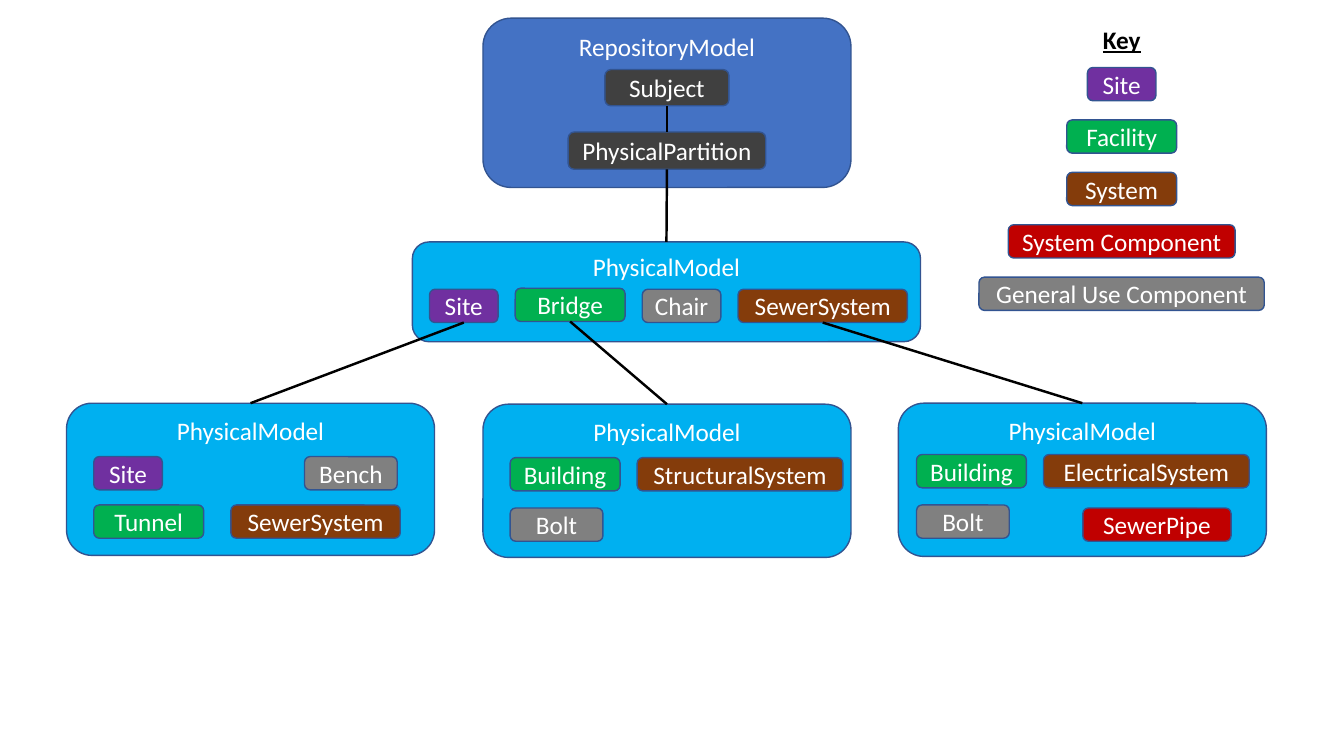
from collections import namedtuple

from lxml.etree import SubElement
from pptx import Presentation
from pptx.dml.color import RGBColor
from pptx.enum.shapes import MSO_CONNECTOR as Connector, MSO_SHAPE as Shape
from pptx.enum.text import MSO_ANCHOR as Anchor, PP_ALIGN as Align
from pptx.oxml.ns import qn
from pptx.util import Inches, Pt

# The grid has square cells, 133.3 columns by 75 rows.
CELL = Inches(0.1)
COLUMNS, ROWS = 133.3, 75
CHIP_HEIGHT = 3.3
TOP, BOTTOM = 0, 2  # connection sites of a rounded rectangle

COLOURS = {
    "site": "7030A0", "facility": "00B050", "system": "843C0B",
    "component": "C00000", "general": "808080", "subject": "404040",
    "repository": "4472C4", "model": "00B0F0",
    "outline": "325491", "light": "FFFFFF", "dark": "000000",
}
Box = namedtuple("Box", "left top width height")


def colour(name):
    """Return the RGB colour of a role in the diagram."""
    return RGBColor.from_string(COLOURS[name])


def cells(*lengths):
    """Turn grid lengths into slide lengths."""
    return [round(length * CELL) for length in lengths]


def write(frame, wording, ink):
    """Put one centred line of wording into a text frame."""
    line = frame.paragraphs[0]
    line.text = wording
    line.alignment = Align.CENTER
    line.font.name, line.font.size = "Calibri", Pt(18)
    line.font.color.rgb = colour(ink)
    return line


def rounded(slide, box, wording, role, anchor=Anchor.MIDDLE):
    """Draw a labelled rounded rectangle."""
    shape = slide.shapes.add_shape(Shape.ROUNDED_RECTANGLE, *cells(*box))
    shape.shadow.inherit = False
    shape.fill.solid()
    shape.fill.fore_color.rgb = colour(role)
    shape.line.color.rgb = colour("outline")
    shape.line.width = Pt(1)
    shape.text_frame.vertical_anchor = anchor
    write(shape.text_frame, wording, "light")
    return shape


def centred_chip(slide, box, wording, role, down, width, height=CHIP_HEIGHT):
    """Draw a chip on the vertical axis of its box."""
    left = box.left + (box.width - width) / 2
    return rounded(slide, Box(left, box.top + down, width, height), wording, role)


def link(slide, upper, lower, start=BOTTOM):
    """Join the upper shape to the top of the lower one."""
    line = slide.shapes.add_connector(Connector.STRAIGHT, 0, 0, 0, 0)
    line.begin_connect(upper, start)
    line.end_connect(lower, TOP)
    line.line.color.rgb = colour("dark")
    line.line.width = Pt(1.75)
    SubElement(line._element.spPr, qn("a:effectLst"))


def repository(slide, box):
    """Draw the repository with its linked subject and partition; return the partition."""
    rounded(slide, box, "RepositoryModel", "repository", Anchor.TOP)
    subject = centred_chip(slide, box, "Subject", "subject", 5.1, 12.3, 3.6)
    partition = centred_chip(slide, box, "PhysicalPartition", "subject", 11.3, 19.6, 3.7)
    link(slide, subject, partition)
    return partition


def physical_model(slide, box, elements):
    """Draw a model with (wording, role, across, down, width) elements; return all shapes."""
    model = rounded(slide, box, "PhysicalModel", "model", Anchor.TOP)
    chips = [
        rounded(slide, Box(box.left + across, box.top + down, width, CHIP_HEIGHT), wording, role)
        for wording, role, across, down, width in elements
    ]
    return model, chips


def key(slide, box):
    """Draw the colour key as a centred column with equal steps."""
    heading_width, step = 5.8, 5.2
    left = box.left + (box.width - heading_width) / 2
    heading = slide.shapes.add_textbox(*cells(left, box.top, heading_width, 4))
    heading.text_frame.word_wrap = False
    title = write(heading.text_frame, "Key", "dark")
    title.font.bold = title.font.underline = True
    entries = [
        ("Site", "site", 6.8),
        ("Facility", "facility", 10.9),
        ("System", "system", 10.9),
        ("System Component", "component", 22.5),
        ("General Use Component", "general", box.width),
    ]
    for row, (wording, role, width) in enumerate(entries):
        centred_chip(slide, box, wording, role, 4.8 + row * step, width)


def model_tree(slide):
    """Place the repository, the root model, its three children and the key."""
    partition = repository(slide, Box(47.9, 1.8, 36.5, 16.8))
    root, (site, bridge, chair, sewer) = physical_model(slide, Box(40.9, 24, 50.4, 9.9), [
        ("Site", "site", 1.7, 4.7, 6.8),
        ("Bridge", "facility", 10.2, 4.6, 10.9),
        ("Chair", "general", 22.8, 4.7, 7.8),
        ("SewerSystem", "system", 32.3, 4.7, 16.8),
    ])
    link(slide, partition, root)
    children = [
        (site, Box(6.6, 40, 36.5, 15.1), [
            ("Site", "site", 2.7, 5.3, 6.8),
            ("Bench", "general", 23.6, 5.3, 9.2),
            ("Tunnel", "facility", 2.7, 10.1, 10.9),
            ("SewerSystem", "system", 16.3, 10.1, 16.8),
        ]),
        (bridge, Box(47.9, 40.1, 36.5, 15.2), [
            ("Building", "facility", 2.7, 5.3, 10.9),
            ("StructuralSystem", "system", 15.3, 5.3, 20.4),
            ("Bolt", "general", 2.7, 10.3, 9.2),
        ]),
        (sewer, Box(89.1, 40, 36.5, 15.2), [
            ("Building", "facility", 1.8, 5.1, 10.9),
            ("ElectricalSystem", "system", 14.4, 5.1, 20.4),
            ("Bolt", "general", 1.8, 10.1, 9.2),
            ("SewerPipe", "component", 18.3, 10.4, 14.7),
        ]),
    ]
    for parent, box, elements in children:
        model, _ = physical_model(slide, box, elements)
        link(slide, parent, model)
    key(slide, Box(97.1, 1.9, 28.3, 28.9))


deck = Presentation()
deck.slide_width, deck.slide_height = cells(COLUMNS, ROWS)
model_tree(deck.slides.add_slide(deck.slide_layouts[6]))
deck.save("out.pptx")
